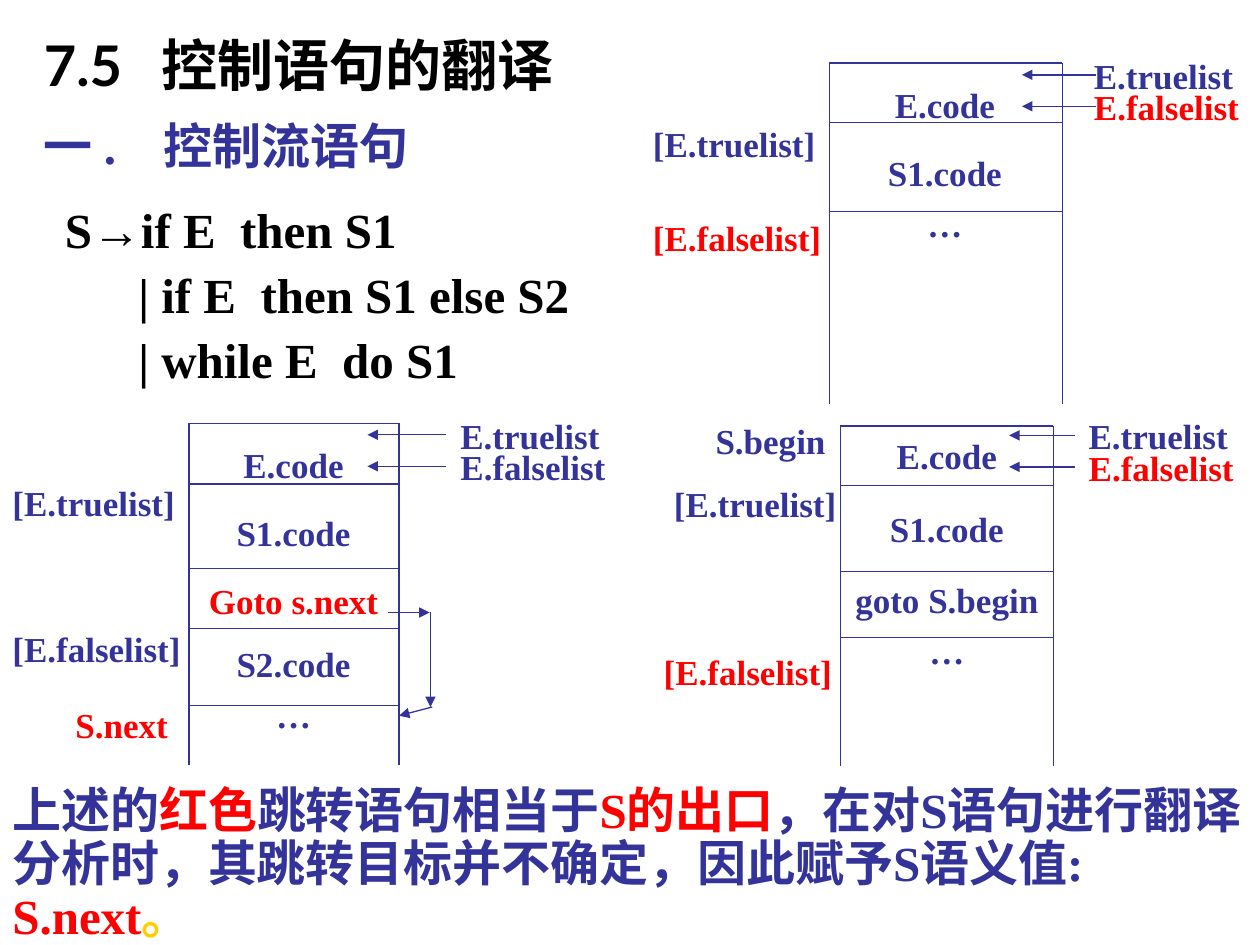
from lxml import etree
from pptx import Presentation
from pptx.dml.color import RGBColor as RGB
from pptx.enum.shapes import MSO_CONNECTOR as CONN
from pptx.enum.text import MSO_AUTO_SIZE as AUTO, PP_ALIGN as AL
from pptx.oxml.ns import qn
from pptx.util import Pt

COLORS = {"ink": "000000", "blue": "333399", "red": "FF0000", "gold": "FFCF01"}
LABEL_WIDTHS = {
    "E.truelist": 93.6, "E.falselist": 97.2,
    "[E.truelist]": 107.3, "[E.falselist]": 110.9,
    "S.next": 67, "S.begin": 77,
}


class Sketch:
    font = "Times New Roman"
    small, large = 20, 28
    line_width = 0.75

    def __init__(self, slide):
        self.slide = slide

    def text(self, x, y, w, h, paras, size=None, font=None, inset=7.2):
        """Each paragraph is (runs, format); each run is (text, colour)."""
        tf = self.slide.shapes.add_textbox(Pt(x), Pt(y), Pt(w), Pt(h)).text_frame
        box = {"word_wrap": True, "auto_size": AUTO.SHAPE_TO_FIT_TEXT,
               "margin_left": Pt(inset), "margin_right": 0}
        for name, value in box.items():
            setattr(tf, name, value)
        for i, (runs, fmt) in enumerate(paras):
            p = tf.paragraphs[0] if i == 0 else tf.add_paragraph()
            for name, value in fmt.items():
                setattr(p, name, value)
            for words, color in runs:
                r = p.add_run()
                r.text = words
                style = {"name": font or self.font, "size": Pt(size or self.small), "bold": True}
                for name, value in style.items():
                    setattr(r.font, name, value)
                r.font.color.rgb = RGB.from_string(COLORS[color])
        return tf

    def heading(self, x, y, w, h, words, color, tab, **style):
        """A heading whose number is set off by a tab stop."""
        fmt = {"line_spacing": 0.9}
        tf = self.text(x, y, w, h, [([(words, color)], fmt)], **style)
        pPr = tf.paragraphs[0]._p.get_or_add_pPr()
        tabs = etree.SubElement(pPr, qn("a:tabLst"))
        etree.SubElement(tabs, qn("a:tab"), pos=str(Pt(tab)), algn="l")

    def grammar(self, x, y, w, h, rules, indent):
        """Every rule after the first is indented under it."""
        paras = [([(rule, "ink")], {"line_spacing": 0.9, "space_before": Pt(7 if i else 0)})
                 for i, rule in enumerate(rules)]
        tf = self.text(x, y, w, h, paras, self.large)
        for p in tf.paragraphs[1:]:
            p._p.get_or_add_pPr().set("marL", str(Pt(indent)))

    def label(self, x, y, words, color="blue", spacing=1.0):
        self.text(x, y, LABEL_WIDTHS[words], 30, [([(words, color)], {"line_spacing": spacing})])

    def line(self, x1, y1, x2, y2, arrow=False):
        c = self.slide.shapes.add_connector(CONN.STRAIGHT, Pt(x1), Pt(y1), Pt(x2), Pt(y2))
        c.line.color.rgb = RGB.from_string(COLORS["blue"])
        c.line.width = Pt(self.line_width)
        if arrow:
            etree.SubElement(c.line._get_or_add_ln(), qn("a:tailEnd"), type="triangle")
        etree.SubElement(c._element.spPr, qn("a:effectLst"))

    def frame(self, left, right, top, bottom, dividers):
        """A code column that is open at the bottom."""
        for x in (left, right):
            self.line(x, top, x, bottom)
        for y in (top, *dividers):
            self.line(left, y, right, y)

    def code(self, x, y, w, h, rows):
        """Centred rows of (text, colour, line spacing)."""
        paras = [([(words, color)], {"alignment": AL.CENTER, "line_spacing": spacing,
                                     "space_before": Pt(5 if i else 0)})
                 for i, (words, color, spacing) in enumerate(rows)]
        self.text(x, y, w, h, paras, inset=0)

    def exits(self, x, y, start, end, false_color="red"):
        """The two exit lists of E, each with an arrow into the column."""
        for i, (words, color) in enumerate((("E.truelist", "blue"), ("E.falselist", false_color))):
            top = y + 18 * i
            self.label(x, top, words, color, 0.9)
            self.line(start, top + 12.5, end, top + 12.5, arrow=True)


def draw_if_then(s):
    s.frame(474, 607, 36, 231, (70, 121))
    s.code(500.4, 46.8, 79.2, 96.5, [
        ("E.code", "blue", 0.9), ("S1.code", "blue", 1.4), ("…", "blue", 1.0)])
    s.exits(618, 30.3, 626.4, 584)
    s.label(366, 66.2, "[E.truelist]")
    s.label(366, 120.2, "[E.falselist]", "red")


def draw_if_else(s):
    s.frame(108, 228, 242, 437, (276.5, 324.7, 359.3, 403.2))
    s.code(112.3, 252.7, 110.9, 171.4, [
        ("E.code", "blue", 0.9), ("S1.code", "blue", 1.4), ("Goto s.next", "red", 1.4),
        ("S2.code", "blue", 1.3), ("…", "blue", 1.0)])
    s.exits(256, 236, 255, 210, "blue")
    s.label(0, 271.4, "[E.truelist]")
    s.label(0, 355, "[E.falselist]")
    s.label(36, 398.2, "S.next", "red")
    jump = [(222, 350, 245.5, 350), (246, 350, 246, 404), (247, 404, 228, 409)]
    for leg in jump:
        s.line(*leg, arrow=True)


def draw_while(s):
    s.frame(480.3, 602, 243.4, 438, (277.5, 326.5, 364.3))
    s.code(481.7, 247.7, 118.8, 139.7, [
        ("E.code", "blue", 0.9), ("S1.code", "blue", 1.5),
        ("goto S.begin", "blue", 1.5), ("…", "blue", 1.0)])
    s.exits(615, 236.3, 614.2, 576.7)
    s.label(378, 272.2, "[E.truelist]")
    s.label(372.2, 368, "[E.falselist]", "red")
    s.label(401.8, 236.2, "S.begin")


def main():
    prs = Presentation()
    prs.slide_width, prs.slide_height = Pt(720), Pt(540)
    s = Sketch(prs.slides.add_slide(prs.slide_layouts[6]))

    s.heading(18, 18, 612, 42, "7.5\t控制语句的翻译", "ink", 67, size=32, font="Lato")
    s.heading(18, 66, 330, 37.5, "一 .\t控制流语句", "blue", 68.5, size=s.large)
    s.grammar(30, 114, 310, 112.3,
              ["S→if E  then S1", "| if E  then S1 else S2", "| while E  do S1"], 42)
    draw_if_then(s)
    draw_if_else(s)
    draw_while(s)
    summary = [
        ("上述的", "blue"), ("红色", "red"), ("跳转语句相当于", "blue"), ("S的出口", "red"),
        ("，在对S语句进行翻译分析时，其跳转目标并不确定，因此赋予S语义值: ", "blue"),
        ("S.next", "red"), ("。", "gold"),
    ]
    s.text(0, 445.7, 720, 94, [(summary, {"line_spacing": 0.9})], s.large)
    prs.save("out.pptx")


if __name__ == "__main__":
    main()
